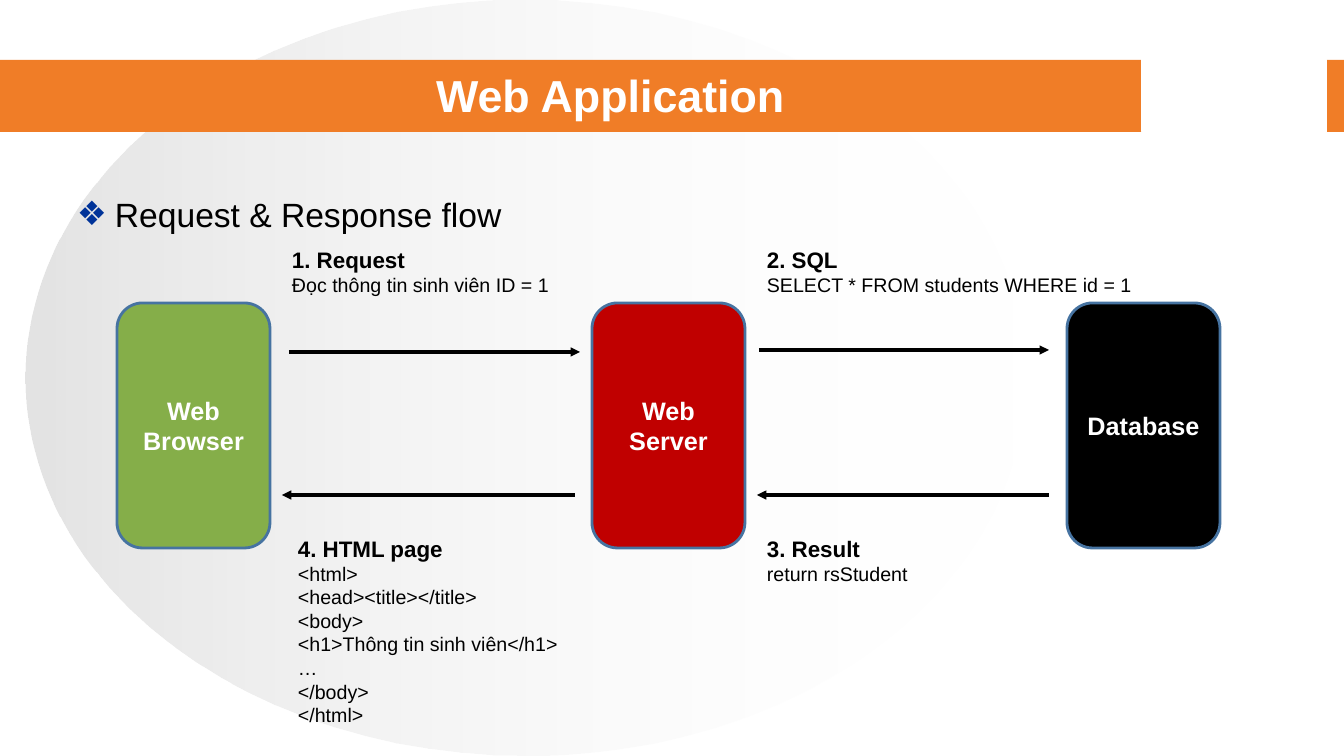
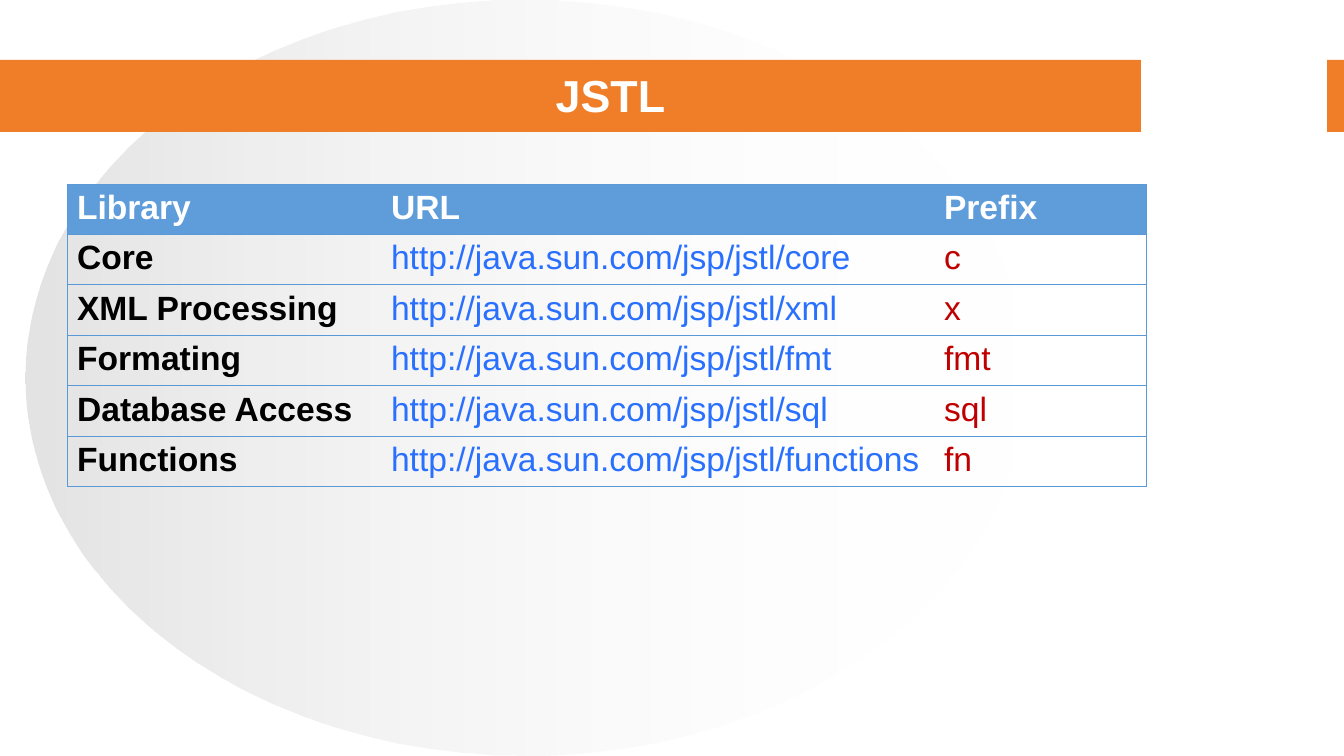
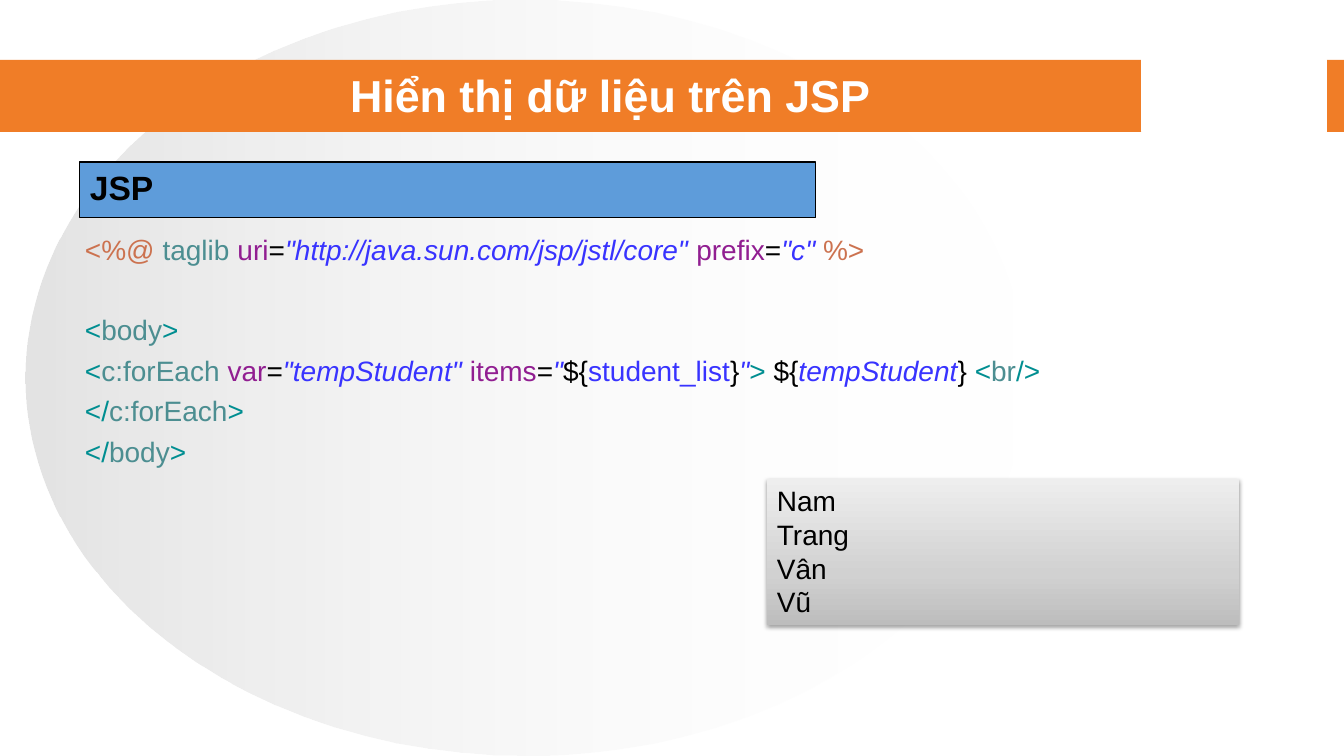
import pptx
import pptx.util
import pptx.dml.color
import pptx.enum.shapes
import pptx.enum.text
import pptx.oxml
import pptx.oxml.ns

SHAPE = pptx.enum.shapes.MSO_SHAPE
ALIGN = pptx.enum.text.PP_ALIGN
ANCHOR = pptx.enum.text.MSO_ANCHOR
qn = pptx.oxml.ns.qn

WIDTH, HEIGHT = 1344, 756
EMU_PER_PX = 12192000 / WIDTH

# Palette
WHITE, BLACK, ORANGE, BLUE, EDGE = "FFFFFF", "000000", "F07D27", "5E9CDA", "4673A1"
GREEN, RED, LINK, GRID, BULLET = "85AE49", "C00000", "2970FF", "5999D8", "003399"


def px(length):
    return pptx.util.Emu(round(length * EMU_PER_PX))


def rgb(value):
    return pptx.dml.color.RGBColor.from_string(value)


def element(xml):
    """Make one DrawingML element; its tag must be followed by a space."""
    return pptx.oxml.parse_xml(xml.replace(" ", f" {pptx.oxml.ns.nsdecls('a')} ", 1))


def span(text, color=BLACK, size=20, bold=False, italic=False):
    return text, color, size, bold, italic


class Deck:
    font = "Arial"

    def __init__(self):
        self.deck = pptx.Presentation()
        self.deck.slide_width, self.deck.slide_height = px(WIDTH), px(HEIGHT)
        self.page = None

    # Slide with its shared backdrop, band and title
    def new_page(self, title):
        self.page = self.deck.slides.add_slide(self.deck.slide_layouts[6])
        backdrop = self.shape(SHAPE.OVAL, (26, 0, 1000, 756))
        self.gradient(backdrop, [(0, "C0C0C0", 44), (100, WHITE, 0)], 0)
        self.shape(SHAPE.RECTANGLE, (0, 60, WIDTH, 72), ORANGE)
        self.shape(SHAPE.RECTANGLE, (1142, 60, 185, 72), WHITE, WHITE)
        box = self.text((168, 68, 885, 53), [[span(title, WHITE, 32, True)]],
                        align=ALIGN.CENTER)
        box.text_frame.vertical_anchor = ANCHOR.MIDDLE

    def shape(self, kind, area, fill=None, line=None, weight=0.75):
        shape = self.page.shapes.add_shape(kind, *map(px, area))
        shape.shadow.inherit = False
        if fill:
            shape.fill.solid()
            shape.fill.fore_color.rgb = rgb(fill)
        if line:
            shape.line.color.rgb = rgb(line)
            shape.line.width = pptx.util.Pt(weight)
        else:
            shape.line.fill.background()
        return shape

    def gradient(self, shape, stops, angle):
        shape.fill.gradient()
        shape.fill.gradient_angle = angle
        stop_list = next(shape.element.iter(qn("a:gsLst")))
        for old in list(stop_list):
            stop_list.remove(old)
        for place, color, opacity in stops:
            stop_list.append(element(
                f'<a:gs pos="{place * 1000}"><a:srgbClr val="{color}">'
                f'<a:alpha val="{opacity * 1000}"/></a:srgbClr></a:gs>'))

    def drop_shadow(self, shape):
        effects = next(shape.element.iter(qn("a:effectLst")))
        effects.append(element(
            '<a:outerShdw blurRad="40000" dist="20000" dir="5400000" rotWithShape="0">'
            '<a:srgbClr val="000000"><a:alpha val="38000"/></a:srgbClr></a:outerShdw>'))

    def set_text(self, frame, paras, align=ALIGN.LEFT, gaps=()):
        for index, spans in enumerate(paras):
            para = frame.paragraphs[0] if index == 0 else frame.add_paragraph()
            para.alignment = align
            if index and gaps:
                para.space_before = pptx.util.Pt(gaps[index])
            for text, color, size, bold, italic in spans:
                run = para.add_run()
                run.text = text
                font = run.font
                font.name, font.size = self.font, pptx.util.Pt(size)
                font.bold, font.italic = bold, italic
                font.color.rgb = rgb(color)

    def text(self, area, paras, wrap=True, **style):
        box = self.page.shapes.add_textbox(*map(px, area))
        box.text_frame.word_wrap = wrap
        self.set_text(box.text_frame, paras, **style)
        return box

    def bullet(self, area, text):
        box = self.text(area, [[span(text, size=24)]])
        properties = box.text_frame.paragraphs[0]._p.get_or_add_pPr()
        properties.set("marL", str(px(38)))
        properties.set("indent", str(px(-38)))
        properties.append(element(f'<a:buClr ><a:srgbClr val="{BULLET}"/></a:buClr>'))
        properties.append(element('<a:buFont typeface="Arial"/>'))
        properties.append(element('<a:buChar char="❖"/>'))

    def panel(self, shape, paras, align=ALIGN.LEFT, anchor=ANCHOR.TOP):
        shape.text_frame.word_wrap = True
        shape.text_frame.vertical_anchor = anchor
        self.set_text(shape.text_frame, paras, align)

    def caption(self, area, heading, *lines):
        self.text(area, [[span(heading, size=16, bold=True)]]
                  + [[span(line, size=14)] for line in lines], wrap=False)

    def arrow(self, start, end, y):
        line = self.page.shapes.add_connector(
            pptx.enum.shapes.MSO_CONNECTOR.STRAIGHT, px(start), px(y), px(end), px(y))
        line.line.color.rgb = rgb(BLACK)
        line.line.width = pptx.util.Pt(2.25)
        line.line._get_or_add_ln().append(element('<a:tailEnd type="triangle"/>'))
        line.element.spPr.append(element("<a:effectLst />"))

    def table(self, left, top, widths, row_height, rows, colors):
        frame = self.page.shapes.add_table(
            len(rows), len(widths), px(left), px(top),
            px(sum(widths)), px(row_height * len(rows)))
        table = frame.table
        table.first_row = table.horz_banding = False
        for column, width in zip(table.columns, widths):
            column.width = px(width)
        last = len(widths) - 1
        for r, values in enumerate(rows):
            table.rows[r].height = px(row_height)
            for c, value in enumerate(values):
                cell = table.cell(r, c)
                color = colors[c] if r else WHITE
                self.set_text(cell.text_frame, [[span(value, color, 24, r == 0 or c == 0)]])
                self.borders(cell, L=c == 0, R=c == last, T=True, B=True)
                if r:
                    cell.fill.background()
                else:
                    cell.fill.solid()
                    cell.fill.fore_color.rgb = rgb(BLUE)

    def borders(self, cell, **sides):
        properties = cell._tc.get_or_add_tcPr()
        for side, shown in sides.items():
            paint = (f'<a:solidFill><a:srgbClr val="{GRID}"/></a:solidFill>'
                     if shown else "<a:noFill/>")
            properties.append(element(f'<a:ln{side} w="9525">{paint}</a:ln{side}>'))


def request_flow(deck):
    deck.new_page("Web Application")
    deck.bullet((67, 189, 1216, 507), "Request & Response flow")

    # Three tiers at equal steps
    tiers = [("Web Browser", GREEN), ("Web Server", RED), ("Database", BLACK)]
    for index, (name, color) in enumerate(tiers):
        tier = deck.shape(SHAPE.ROUNDED_RECTANGLE, (117 + 475 * index, 303, 153, 245),
                          color, EDGE, 2)
        deck.panel(tier, [[span(name, WHITE, 18, True)]], ALIGN.CENTER, ANCHOR.MIDDLE)

    # Requests go right, responses go left
    for start, end, y in [(289, 580, 352), (759, 1049, 350),
                          (1049, 757, 495), (575, 282, 495)]:
        deck.arrow(start, end, y)

    deck.caption((282, 241, 278, 61), "1. Request", "Đọc thông tin sinh viên ID = 1")
    deck.caption((757, 241, 398, 61), "2. SQL", "SELECT * FROM students WHERE id = 1")
    deck.caption((757, 530, 161, 61), "3. Result", "return rsStudent")
    deck.caption((288, 530, 281, 204), "4. HTML page", "<html>",
                 "<head><title></title>", "<body>", "<h1>Thông tin sinh viên</h1>",
                 "…", "</body>", "</html>")


def tag_libraries(deck):
    deck.new_page("JSTL")
    libraries = [("Core", "core", "c"), ("XML Processing", "xml", "x"),
                 ("Formating", "fmt", "fmt"), ("Database Access", "sql", "sql"),
                 ("Functions", "functions", "fn")]
    rows = [("Library", "URL", "Prefix")]
    rows += [(name, "http://java.sun.com/jsp/jstl/" + end, prefix)
             for name, end, prefix in libraries]
    deck.table(67, 184, (314, 553, 213), 41, rows, (BLACK, LINK, RED))


def show_data(deck):
    deck.new_page("Hiển thị dữ liệu trên JSP")
    heading = deck.shape(SHAPE.RECTANGLE, (80, 162, 736, 56), BLUE, BLACK)
    deck.panel(heading, [[span("JSP", size=24, bold=True)]])

    # Code, coloured by kind of token
    def directive(text): return span(text, "CC724F")
    def mark(text): return span(text, "008E91")
    def tag(text): return span(text, "4C8E91")
    def name(text): return span(text, "911E91")
    def value(text): return span(text, "3833FF", italic=True)

    code = [
        [directive("<%@ "), tag("taglib "), name("uri"), span("="),
         value('"http://java.sun.com/jsp/jstl/core" '), name("prefix"), span("="),
         value('"c" '), directive("%>")],
        [mark("<"), tag("body"), mark(">")],
        [mark("<"), tag("c:forEach "), name("var"), span("="), value('"tempStudent" '),
         name("items"), span("="), value('"'), span("${"), span("student_list", "3833FF"),
         span("}"), value('"'), mark("> "), span("${"), value("tempStudent"), span("} "),
         mark("<"), tag("br"), mark("/>")],
        [mark("</"), tag("c:forEach"), mark(">")],
        [mark("</"), tag("body"), mark(">")],
    ]
    deck.text((75, 228, 1216, 507), code, gaps=(0, 33, 5, 5, 5))

    # Resulting list
    output = deck.shape(SHAPE.RECTANGLE, (767, 479, 472, 146))
    deck.gradient(output, [(0, "BDBDBD", 100), (35, "D1D1D1", 100), (100, "EEEEEE", 100)], 90)
    deck.drop_shadow(output)
    deck.panel(output, [[span(student)] for student in ("Nam", "Trang", "Vân", "Vũ")])


def main():
    deck = Deck()
    request_flow(deck)
    tag_libraries(deck)
    show_data(deck)
    deck.deck.save("out.pptx")


if __name__ == "__main__":
    main()
